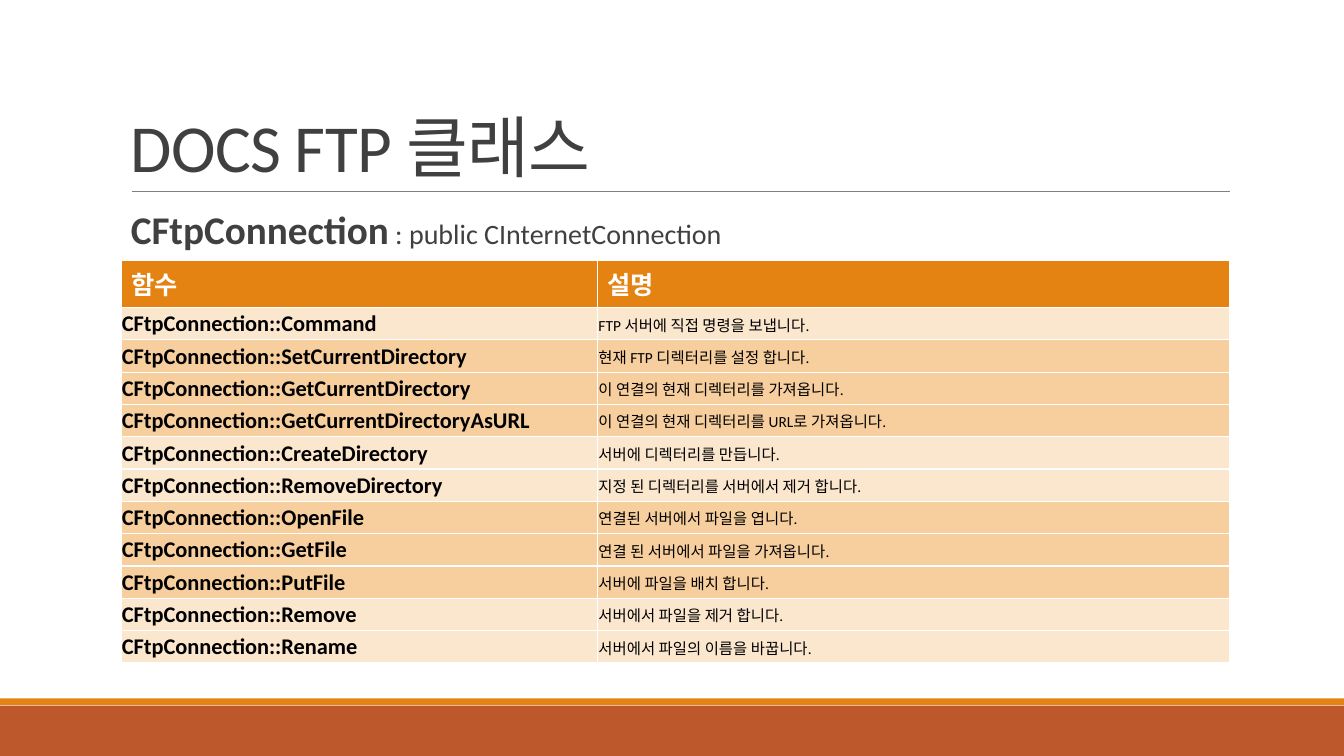
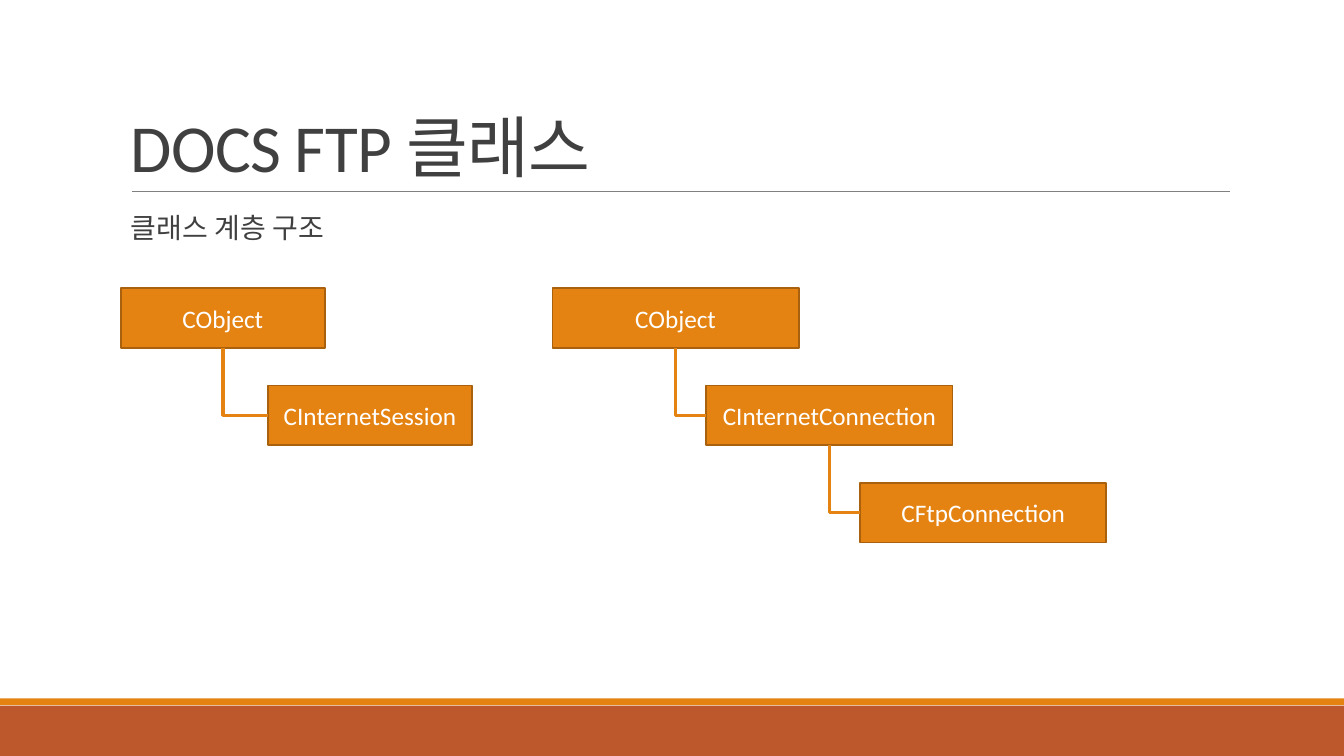
"""Build two slides on FTP classes: a function table and the class hierarchy."""
from dataclasses import dataclass

from lxml import etree
from pptx import Presentation
from pptx import util as u
from pptx.dml.color import RGBColor
from pptx.enum import shapes, text
from pptx.oxml.ns import qn


@dataclass(frozen=True)
class Theme:
    font: str = "Calibri"
    ink: str = "404040"
    black: str = "000000"
    white: str = "FFFFFF"
    rule: str = "808080"
    orange: str = "E48312"
    outline: str = "A9610D"
    rust: str = "BD582C"
    pale: str = "FBE6CE"
    peach: str = "F7CE9D"
    title: int = 48
    class_name: int = 28
    body: int = 20
    label: int = 18
    function: int = 16
    note: int = 11


theme = Theme()
Pt = u.Pt
LEFT, CONTENT_WIDTH = 86.4, 792


def style(run, size, color, bold=False):
    run.font.name = theme.font
    run.font.size = Pt(size)
    run.font.bold = bold
    run.font.color.rgb = RGBColor.from_string(color)


def add_rect(slide, left, top, width, height, fill, outline=None):
    rect = slide.shapes.add_shape(
        shapes.MSO_SHAPE.RECTANGLE, Pt(left), Pt(top), Pt(width), Pt(height))
    rect.shadow.inherit = False
    rect.fill.solid()
    rect.fill.fore_color.rgb = RGBColor.from_string(fill)
    if outline:
        rect.line.color.rgb = RGBColor.from_string(outline)
        rect.line.width = Pt(1.25)
    else:
        rect.line.fill.background()
    return rect


prs = Presentation()
prs.slide_width, prs.slide_height = Pt(960), Pt(540)

subtitles = [
    (0.8, [("CFtpConnection", theme.class_name, True),
           (" : public CInternetConnection", theme.body, False)]),
    (0.9, [("클래스 계층 구조", theme.body, False)]),
]
for spacing, pieces in subtitles:
    slide = prs.slides.add_slide(prs.slide_layouts[6])
    add_rect(slide, 0, 504, 960, 36, theme.rust)
    add_rect(slide, 0, 498.8, 960, 5, theme.orange)

    rule = slide.shapes.add_connector(
        shapes.MSO_CONNECTOR.STRAIGHT, Pt(94.1), Pt(136.8), Pt(878.9), Pt(136.8))
    rule.line.color.rgb = RGBColor.from_string(theme.rule)
    rule.line.width = Pt(0.5)
    etree.SubElement(rule._element.spPr, qn("a:effectLst"))

    title = slide.shapes.add_textbox(Pt(LEFT), Pt(22.6), Pt(CONTENT_WIDTH), Pt(114.2))
    title.text_frame.word_wrap = True
    title.text_frame.vertical_anchor = text.MSO_ANCHOR.BOTTOM
    title.text_frame.text = "DOCS FTP 클래스"
    heading = title.text_frame.paragraphs[0]
    heading.line_spacing = 0.85
    style(heading.runs[0], theme.title, theme.ink)
    heading.runs[0].font._element.set("spc", "-50")

    subtitle = slide.shapes.add_textbox(Pt(LEFT), Pt(149.8), Pt(CONTENT_WIDTH), Pt(36.7))
    subtitle.text_frame.word_wrap = True
    topic = subtitle.text_frame.paragraphs[0]
    topic.line_spacing = spacing
    topic.space_before, topic.space_after = Pt(12), Pt(2)
    for words, size, bold in pieces:
        run = topic.add_run()
        run.text = words
        style(run, size, theme.ink, bold)

function_slide, hierarchy_slide = prs.slides

functions = [
    ("Command", "FTP 서버에 직접 명령을 보냅니다."),
    ("SetCurrentDirectory", "현재 FTP 디렉터리를 설정 합니다."),
    ("GetCurrentDirectory", "이 연결의 현재 디렉터리를 가져옵니다."),
    ("GetCurrentDirectoryAsURL", "이 연결의 현재 디렉터리를 URL로 가져옵니다."),
    ("CreateDirectory", "서버에 디렉터리를 만듭니다."),
    ("RemoveDirectory", "지정 된 디렉터리를 서버에서 제거 합니다."),
    ("OpenFile", "연결된 서버에서 파일을 엽니다."),
    ("GetFile", "연결 된 서버에서 파일을 가져옵니다."),
    ("PutFile", "서버에 파일을 배치 합니다."),
    ("Remove", "서버에서 파일을 제거 합니다."),
    ("Rename", "서버에서 파일의 이름을 바꿉니다."),
]
rows = [("함수", "설명")] + [(f"CFtpConnection::{name}", note) for name, note in functions]
HEADER_HEIGHT, ROW_HEIGHT = 33.6, 23.1
reference = function_slide.shapes.add_table(
    len(rows), 2, Pt(LEFT), Pt(186.1), Pt(CONTENT_WIDTH),
    Pt(HEADER_HEIGHT + ROW_HEIGHT * len(functions))).table
reference.columns[0].width, reference.columns[1].width = Pt(340.4), Pt(451.6)

for r, row in enumerate(rows):
    is_header = r == 0
    reference.rows[r].height = Pt(HEADER_HEIGHT if is_header else ROW_HEIGHT)
    if is_header:
        fill, color, sizes = theme.orange, theme.white, (theme.label, theme.label)
    else:
        fill = theme.peach if (r - 1) % 5 in (1, 2, 3) else theme.pale
        color, sizes = theme.black, (theme.function, theme.note)
    for c, words in enumerate(row):
        cell = reference.cell(r, c)
        cell.fill.solid()
        cell.fill.fore_color.rgb = RGBColor.from_string(fill)
        cell.text_frame.text = words
        style(cell.text_frame.paragraphs[0].runs[0], sizes[c], color, is_header or c == 0)
        if not is_header:
            cell.vertical_anchor = text.MSO_ANCHOR.MIDDLE
            cell.margin_left = cell.margin_right = cell.margin_top = Pt(0.7)
            cell.margin_bottom = 0

TREE_TOP, LEVEL_DROP, CLASS_HEIGHT = 205.9, 69.5, 42.6
trees = [
    (86.4, 145.6, 105.1, ["CObject", "CInternetSession"]),
    (394.6, 175.9, 109.9, ["CObject", "CInternetConnection", "CFtpConnection"]),
]
for left, width, indent, class_names in trees:
    parent = None
    for level, class_name in enumerate(class_names):
        child = add_rect(hierarchy_slide, left + level * indent, TREE_TOP + level * LEVEL_DROP,
                         width, CLASS_HEIGHT, theme.orange, theme.outline)
        child.text_frame.word_wrap = True
        child.text_frame.vertical_anchor = text.MSO_ANCHOR.MIDDLE
        child.text_frame.text = class_name
        label = child.text_frame.paragraphs[0]
        label.alignment = text.PP_ALIGN.CENTER
        style(label.runs[0], theme.label, theme.white)

        if parent is not None:
            start_x, start_y = parent.left + parent.width // 2, parent.top + parent.height
            end_x, end_y = child.left, child.top + child.height // 2
            run_length, drop = end_x - start_x, end_y - start_y
            branch = hierarchy_slide.shapes.add_connector(
                shapes.MSO_CONNECTOR.ELBOW, start_x, start_y, end_x, end_y)
            branch.begin_connect(parent, 2)
            branch.end_connect(child, 1)
            branch.left = (start_x + end_x - drop) // 2
            branch.top = (start_y + end_y - run_length) // 2
            branch.width, branch.height = drop, run_length
            geometry = branch._element.spPr
            geometry.find(qn("a:prstGeom")).set("prst", "bentConnector2")
            geometry.find(qn("a:xfrm")).set("rot", "16200000")
            geometry.find(qn("a:xfrm")).set("flipH", "1")
            branch.line.color.rgb = RGBColor.from_string(theme.orange)
            branch.line.width = Pt(2.25)
            etree.SubElement(geometry, qn("a:effectLst"))
        parent = child

prs.save("out.pptx")
